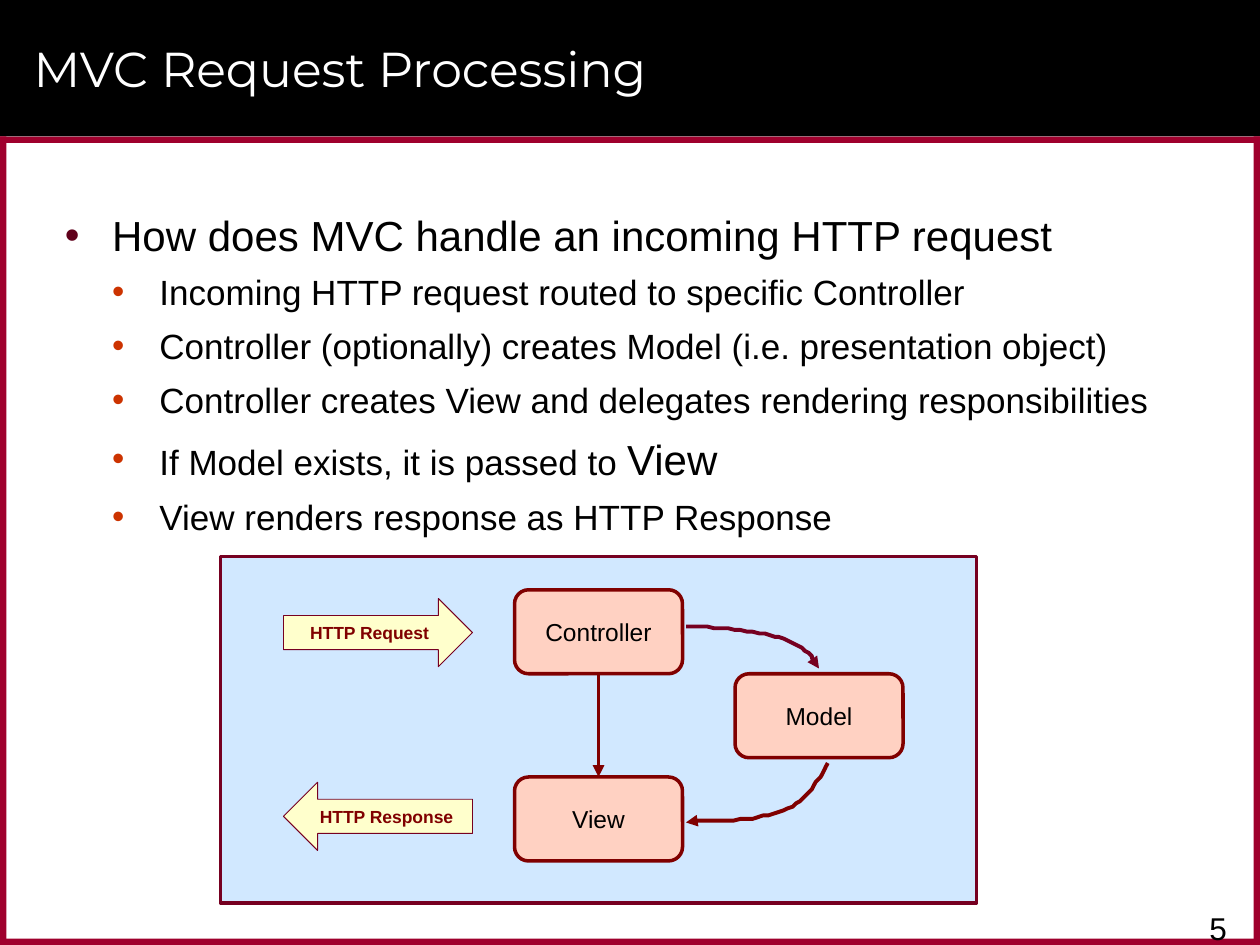
from lxml.etree import SubElement
from pptx import Presentation
from pptx.dml.color import RGBColor
from pptx.enum.shapes import MSO_CONNECTOR as Conn, MSO_SHAPE as Form
from pptx.enum.text import MSO_ANCHOR as Anchor, MSO_AUTO_SIZE as Fit, PP_ALIGN as Align
from pptx.oxml.ns import qn
from pptx.util import Pt

# Content
TITLE = "MVC Request Processing"
NUMBER = "5"
HEAD = "How does MVC handle an incoming HTTP request"
# Each point: plain text, then larger text
POINTS = [
    ("Incoming HTTP request routed to specific Controller", ""),
    ("Controller (optionally) creates Model (i.e. presentation object)", ""),
    ("Controller creates View and delegates rendering responsibilities", ""),
    ("If Model exists, it is passed to ", "View"),
    ("View renders response as HTTP Response", ""),
]
NODES = [("Controller", 294, 337), ("Model", 420, 385), ("View", 294, 444)]
FLOWS = [("HTTP Request", Form.RIGHT_ARROW, 342),
         ("HTTP Response", Form.LEFT_ARROW, 447)]
# Each curve: colour name, then start and two Bezier segments
CURVES = [
    ("wine", [(392.5, 357.5), (414, 359), (435, 361), (448, 365),
              (461, 369), (464.5, 376), (468, 382.5)]),
    ("maroon", [(473, 435.5), (467.5, 446.5), (461.5, 457), (448, 463),
                (434, 469), (413, 469), (392.5, 469.5)]),
]


class Theme:
    text, head = "Arial", "Montserrat"
    black, white, red = "000000", "FFFFFF", "9F002D"
    wine, maroon, pale = "760021", "800000", "D1E8FF"
    pink, cream = "FFD1C2", "FFFFCC"
    dot, subdot = "60001B", "CC3300"
    title, big, body, page, node, flow = 28, 24, 20, 18, 14, 10
    thin, edge, link = 0.5, 2, 2.25


WIDE, HIGH = 720, 540
BAR, RIM = 78, 3.6
NODE_W, NODE_H = 96, 48
FLOW_X, FLOW_W, FLOW_H = 162, 108, 39


def rgb(code):
    return RGBColor.from_string(code)


def style(font, size, color=Theme.black, name=Theme.text, bold=False):
    font.size, font.name, font.bold = Pt(size), name, bold
    font.color.rgb = rgb(color)


def place(shape, x, y, w, h):
    shape.left, shape.top, shape.width, shape.height = map(Pt, (x, y, w, h))


def block(form, x, y, w, h, fill, line=None, width=Theme.edge):
    shape = shapes.add_shape(form, Pt(x), Pt(y), Pt(w), Pt(h))
    shape.shadow.inherit = False
    shape.fill.solid()
    shape.fill.fore_color.rgb = rgb(fill)
    if line:
        shape.line.color.rgb = rgb(line)
        shape.line.width = Pt(width)
    else:
        shape.line.fill.background()
    return shape


def label(shape, text, size, color=Theme.black, bold=False):
    frame = shape.text_frame
    frame.text = text
    frame.word_wrap = False
    frame.vertical_anchor = Anchor.MIDDLE
    frame.margin_left = frame.margin_right = 0
    frame.margin_top = frame.margin_bottom = 0
    para = frame.paragraphs[0]
    para.alignment = Align.CENTER
    style(para.runs[0].font, size, color, bold=bold)


def arrow(shape, color):
    shape.line.color.rgb = rgb(color)
    shape.line.width = Pt(Theme.link)
    line = shape.line._get_or_add_ln()
    SubElement(line, qn("a:tailEnd"), type="triangle")


def bullet(para, color, indent, hang):
    props = para._p.get_or_add_pPr()
    props.set("marL", str(Pt(indent)))
    props.set("indent", str(-Pt(hang)))
    tint = SubElement(props, qn("a:buClr"))
    SubElement(tint, qn("a:srgbClr"), val=color)
    SubElement(props, qn("a:buFont"), typeface=Theme.text)
    SubElement(props, qn("a:buChar"), char="•")


def bezier(a, b, c, d, steps=16):
    for i in range(1, steps + 1):
        t = i / steps
        u = 1 - t
        yield tuple(u**3 * p + 3 * u * u * t * q + 3 * u * t * t * r + t**3 * s
                    for p, q, r, s in zip(a, b, c, d))


deck = Presentation()
deck.slide_width, deck.slide_height = Pt(WIDE), Pt(HIGH)
slide = deck.slides.add_slide(deck.slide_layouts[5])
shapes = slide.shapes

# Title bar, frame and diagram panel
block(Form.RECTANGLE, 0, 0, WIDE, BAR, Theme.black)
for x, y, w, h in [(0, BAR, WIDE, RIM), (0, HIGH - RIM, WIDE, RIM),
                   (WIDE - RIM, BAR, RIM, HIGH - BAR), (0, BAR, RIM, HIGH - BAR)]:
    block(Form.RECTANGLE, x, y, w, h, Theme.red)
block(Form.RECTANGLE, 126, 318, 432, 198, Theme.pale, Theme.wine)

# Title, moved in front of its bar
title = shapes.title
place(title, 12, 6, 678, 66)
title.text_frame.text = TITLE
title.text_frame.auto_size = Fit.NONE
title.text_frame.vertical_anchor = Anchor.MIDDLE
para = title.text_frame.paragraphs[0]
para.alignment = Align.LEFT
style(para.runs[0].font, Theme.title, Theme.white, Theme.head)
shapes._spTree.append(title._element)

# Bullet list
box = shapes.add_textbox(Pt(30), Pt(115), Pt(660), Pt(200))
frame = box.text_frame
frame.word_wrap = True
frame.text = HEAD
para = frame.paragraphs[0]
bullet(para, Theme.dot, 27, 27)
para.line_spacing, para.space_after = 1.04, Pt(2)
style(para.runs[0].font, Theme.big)
for plain, large in POINTS:
    para = frame.add_paragraph()
    para.level = 1
    bullet(para, Theme.subdot, 54, 27)
    para.line_spacing = 1.04
    para.space_before = para.space_after = Pt(3)
    for text, size in ((plain, Theme.body), (large, Theme.big)):
        if text:
            run = para.add_run()
            run.text = text
            style(run.font, size)

# Page number
box = shapes.add_textbox(Pt(684), Pt(516), Pt(36), Pt(18))
box.text_frame.word_wrap = True
box.text_frame.text = NUMBER
style(box.text_frame.paragraphs[0].runs[0].font, Theme.page)

# Request and response arrows
for text, form, y in FLOWS:
    shape = block(form, FLOW_X, y, FLOW_W, FLOW_H, Theme.cream, Theme.wine, Theme.thin)
    label(shape, text, Theme.flow, Theme.maroon, True)

# Controller, model and view
nodes = {}
for text, x, y in NODES:
    nodes[text] = block(Form.ROUNDED_RECTANGLE, x, y, NODE_W, NODE_H,
                        Theme.pink, Theme.maroon)
    label(nodes[text], text, Theme.node)

# Links between them
link = shapes.add_connector(Conn.STRAIGHT, 0, 0, 0, 0)
link.begin_connect(nodes["Controller"], 2)
link.end_connect(nodes["View"], 0)
arrow(link, Theme.maroon)
SubElement(link._element.spPr, qn("a:effectLst"))
for name, pts in CURVES:
    path = shapes.build_freeform(*pts[0], scale=Pt(1))
    path.add_line_segments([*bezier(*pts[:4]), *bezier(*pts[3:])], close=False)
    curve = path.convert_to_shape()
    curve.shadow.inherit = False
    curve.fill.background()
    arrow(curve, getattr(Theme, name))

deck.save("out.pptx")
